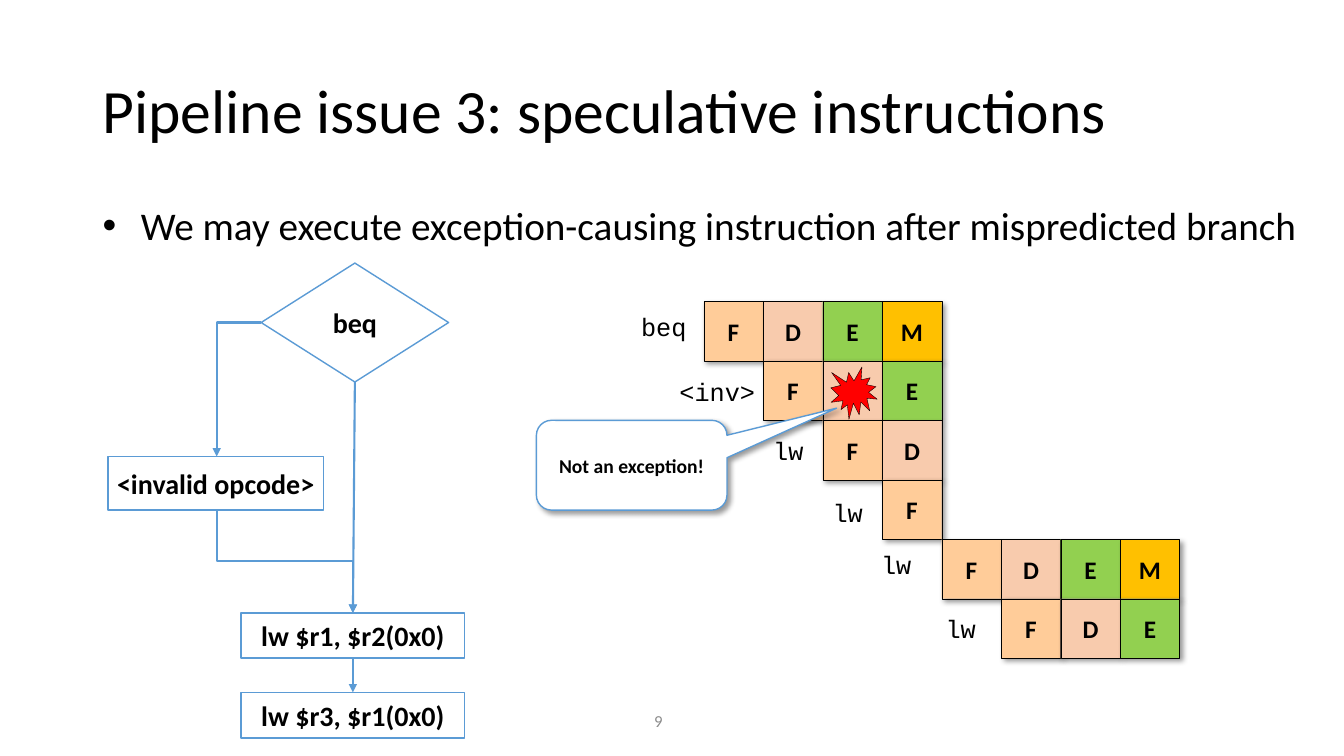
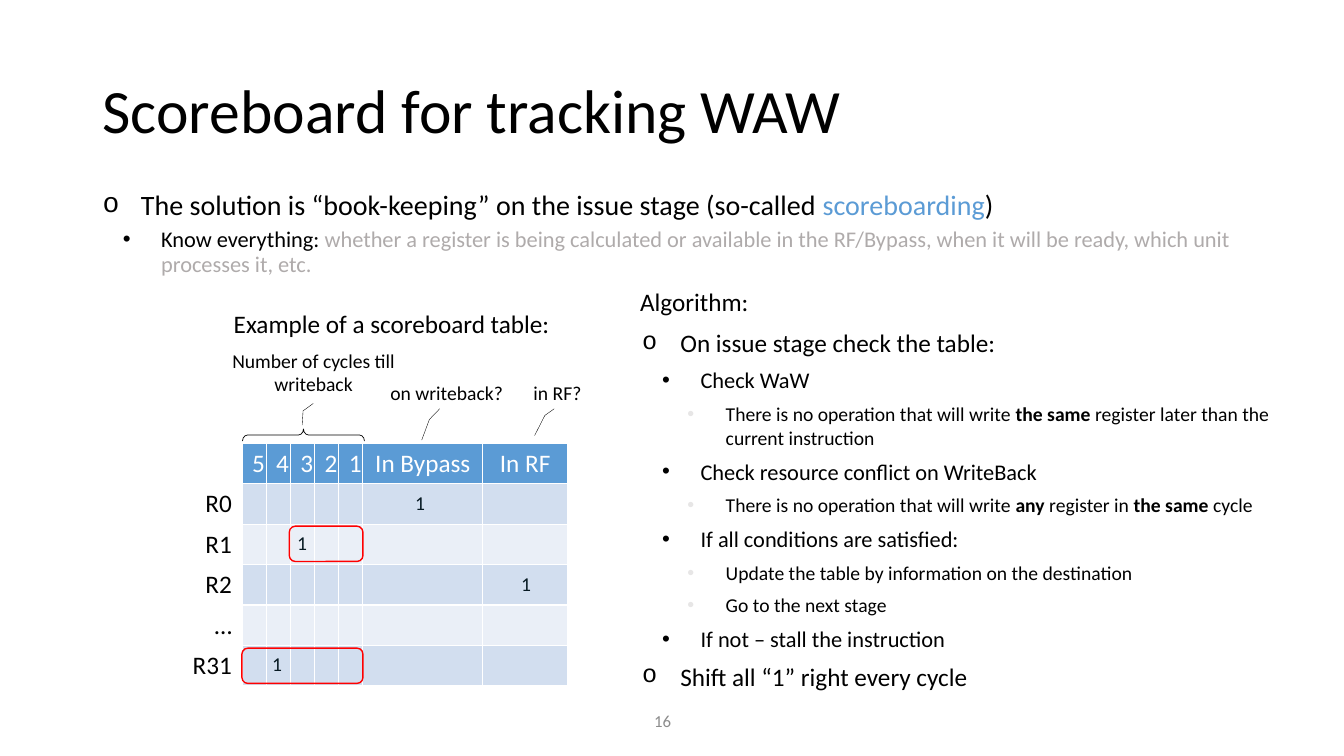
from dataclasses import dataclass
from typing import Optional

from lxml import etree
from pptx import Presentation
from pptx import util as u
from pptx.dml.color import RGBColor
from pptx.enum import shapes, text
from pptx.oxml.ns import qn

COLORS = {
    "black": "000000", "white": "FFFFFF", "blue": "5B9BD5", "red": "FF0000",
    "gray": "AFABAB", "pale": "E7E6E6", "number": "8C8C8C", "mark": "061922",
    "F": "FFCC99", "D": "F8CBAD", "E": "92D050", "M": "FFC000",
    "band_dark": "D2DEEF", "band_light": "EAEFF7",
}
BODY_FONT, CODE_FONT = "Calibri", "Courier New"
BULLET_FONTS = {"•": "Arial", "o": "Courier New"}
SHAPE, ALIGN, ANCHOR = shapes.MSO_SHAPE, text.PP_ALIGN, text.MSO_ANCHOR
LINK = shapes.MSO_CONNECTOR
Box = tuple[float, float, float, float]


@dataclass(frozen=True)
class Para:
    """Every second part of the text, split at *, is coloured or bold."""
    text: str
    size: float = 18
    color: str = "black"
    bold: bool = False
    accent: Optional[str] = None
    font: str = BODY_FONT
    align: ALIGN = ALIGN.LEFT
    spacing: Optional[float] = None
    before: float = 0
    bullet: str = ""
    bullet_color: str = "black"
    indent: float = 0


@dataclass(frozen=True)
class PipelineRow:
    label: str
    start: int
    stages: str
    label_left: float
    label_top: float


def rgb(name: str) -> RGBColor:
    return RGBColor.from_string(COLORS[name])


def inches(values) -> list:
    return [u.Inches(value) for value in values]


def write(frame, paras: list[Para]) -> None:
    for index, item in enumerate(paras):
        para = frame.paragraphs[0] if index == 0 else frame.add_paragraph()
        if item.bullet:
            props = para._p.get_or_add_pPr()
            props.set("marL", str(u.Inches(item.indent)))
            props.set("indent", str(u.Inches(-0.38)))
            tint = etree.SubElement(props, qn("a:buClr"))
            etree.SubElement(tint, qn("a:srgbClr"), val=COLORS[item.bullet_color])
            etree.SubElement(props, qn("a:buFont"), typeface=BULLET_FONTS[item.bullet])
            etree.SubElement(props, qn("a:buChar"), char=item.bullet)
        para.alignment = item.align
        if item.spacing:
            para.line_spacing = item.spacing
        if index and item.before:
            para.space_before = u.Pt(item.before)
        font = para.font
        font.name, font.size, font.bold = item.font, u.Pt(item.size), item.bold
        font.color.rgb = rgb(item.color)
        for order, piece in enumerate(item.text.split("*")):
            span = para.add_run()
            span.text = piece
            if order % 2 and item.accent:
                span.font.color.rgb = rgb(item.accent)
            elif order % 2:
                span.font.bold = True


def add_text(page, box: Box, paras: list[Para], anchor=ANCHOR.TOP,
             wrap: bool = True) -> None:
    frame = page.shapes.add_textbox(*inches(box)).text_frame
    frame.word_wrap, frame.vertical_anchor = wrap, anchor
    write(frame, paras)


def add_shape(page, kind, box: Box, fill: Optional[str] = None,
              line: str = "black", width: float = 0.25,
              para: Optional[Para] = None, wrap: bool = False,
              adjust: tuple[float, ...] = (), shadow: bool = False):
    shape = page.shapes.add_shape(kind, *inches(box))
    for index, value in enumerate(adjust):
        shape.adjustments[index] = value
    if fill:
        shape.fill.solid()
        shape.fill.fore_color.rgb = rgb(fill)
    else:
        shape.fill.background()
    shape.line.color.rgb = rgb(line)
    shape.line.width = u.Pt(width)
    shape.shadow.inherit = False
    if shadow:
        effects = shape._element.spPr.find(qn("a:effectLst"))
        outer = etree.SubElement(effects, qn("a:outerShdw"),
                                 blurRad=str(u.Pt(4)), dist=str(u.Pt(3)),
                                 dir="2700000", algn="tl", rotWithShape="0")
        tint = etree.SubElement(outer, qn("a:srgbClr"), val=COLORS["black"])
        etree.SubElement(tint, qn("a:alpha"), val="40000")
    if para:
        frame = shape.text_frame
        frame.word_wrap, frame.vertical_anchor = wrap, ANCHOR.MIDDLE
        write(frame, [para])
    return shape


def add_arrow(page, kind, start: tuple[float, float], end: tuple[float, float]):
    arrow = page.shapes.add_connector(kind, *inches(start + end))
    arrow.line.color.rgb = rgb("blue")
    arrow.line.width = u.Pt(1.5)
    props = arrow._element.spPr
    etree.SubElement(props.find(qn("a:ln")), qn("a:tailEnd"), type="triangle")
    etree.SubElement(props, qn("a:effectLst"))
    return arrow


def add_step_arrow(page, start, end) -> None:
    """Arrow that runs down, right and down: a sideways elbow turned by 270°."""
    middle_x, middle_y = (start[0] + end[0]) / 2, (start[1] + end[1]) / 2
    half_w, half_h = (end[1] - start[1]) / 2, (end[0] - start[0]) / 2
    arrow = add_arrow(page, LINK.ELBOW, (middle_x + half_w, middle_y - half_h),
                      (middle_x - half_w, middle_y + half_h))
    arrow._element.spPr.find(qn("a:xfrm")).set("rot", "16200000")


def add_page(deck, title: str, number: str):
    page = deck.slides.add_slide(deck.slide_layouts[6])
    add_text(page, (0.92, 0.4, 11.5, 1.45), [Para(title, size=44, spacing=0.9)],
             ANCHOR.MIDDLE)
    add_text(page, (6.39, 6.95, 0.79, 0.4), [Para(number, size=12, color="number")],
             ANCHOR.MIDDLE)
    return page


def build_speculation(deck) -> None:
    page = add_page(deck, "Pipeline issue 3: speculative instructions", "9")
    add_text(page, (0.92, 2, 12.1, 4.52), [Para(
        "We may execute exception-causing instruction after mispredicted branch",
        size=28, spacing=0.9, bullet="•", indent=0.38)])

    # Branch flowchart
    nodes = [
        ("beq", SHAPE.DIAMOND, (2.59, 2.61, 1.86, 1.18)),
        ("<invalid opcode>", SHAPE.RECTANGLE, (1.07, 4.53, 2.14, 0.53)),
        ("lw $r1, $r2(0x0)", SHAPE.RECTANGLE, (2.39, 6.08, 2.22, 0.45)),
        ("lw $r3, $r1(0x0)", SHAPE.RECTANGLE, (2.39, 6.87, 2.22, 0.45)),
    ]
    for label, kind, box in nodes:
        add_shape(page, kind, box, "white", "blue", 1,
                  Para(label, size=20, bold=True, align=ALIGN.CENTER))
    corner = add_arrow(page, LINK.ELBOW, (2.59, 3.2), (2.15, 4.53))
    corner._element.spPr.find(qn("a:prstGeom")).set("prst", "bentConnector2")
    add_arrow(page, LINK.STRAIGHT, (3.52, 3.79), (3.5, 6.08))
    add_step_arrow(page, (2.15, 5.05), (3.5, 6.08))
    add_arrow(page, LINK.STRAIGHT, (3.5, 6.53), (3.5, 6.87))

    # Pipeline diagram
    left, top, side = 6.98, 2.99, 0.59
    rows = [
        PipelineRow("beq", 0, "FDEM", 6.26, 3.04),
        PipelineRow("<inv>", 1, "FDE", 6.64, 3.68),
        PipelineRow("lw", 2, "FD", 7.57, 4.27),
        PipelineRow("lw", 3, "F", 8.16, 4.88),
        PipelineRow("lw", 4, "FDEM", 8.64, 5.4),
        PipelineRow("lw", 5, "FDE", 9.28, 6.04),
    ]
    for index, row in enumerate(rows):
        for cycle, stage in enumerate(row.stages, row.start):
            add_shape(page, SHAPE.RECTANGLE,
                      (left + cycle * side, top + index * side, side, side), stage,
                      para=Para(stage, bold=True, align=ALIGN.CENTER), shadow=True)
        add_text(page, (row.label_left, row.label_top, 1.07, 0.4),
                 [Para(row.label, font=CODE_FONT)])
    add_shape(page, SHAPE.EXPLOSION1, (8.24, 3.64, 0.46, 0.52), "red")
    add_shape(page, SHAPE.ROUNDED_RECTANGULAR_CALLOUT, (5.32, 4.17, 1.89, 0.89),
              "white", "blue", 1,
              Para("Not an exception!", size=14, bold=True, align=ALIGN.CENTER),
              wrap=True, adjust=(1.075, -0.636, 0.167), shadow=True)


def add_scoreboard(page) -> None:
    headers = ["", "5", "4", "3", "2", "1", "In Bypass", "In RF"]
    registers = ["", "R0", "R1", "R2", "…", "R31"]
    widths = [0.76] + [0.24] * 5 + [1.19, 0.84]
    table = page.shapes.add_table(len(registers), len(headers), *inches(
        (1.64, 4.4, sum(widths), 0.4 * len(registers)))).table
    table.first_row = table.horz_banding = False
    for column, width in zip(table.columns, widths):
        column.width = u.Inches(width)
    for index, row in enumerate(table.rows):
        band = "blue" if index == 0 else "band_dark" if index % 2 else "band_light"
        for column, cell in enumerate(row.cells):
            if column == 0:
                cell.fill.background()
                if index:
                    write(cell.text_frame, [Para(registers[index], align=ALIGN.RIGHT)])
                continue
            cell.fill.solid()
            cell.fill.fore_color.rgb = rgb(band)
            if index == 0:
                write(cell.text_frame, [Para(headers[column], color="white",
                                             align=ALIGN.CENTER)])


def build_scoreboard(deck) -> None:
    page = add_page(deck, "Scoreboard for tracking WAW", "16")
    add_text(page, (0.92, 1.85, 11.5, 4.66), [
        Para("The solution is “book-keeping” on the issue stage (so-called *scoreboarding*)",
             size=20, accent="blue", spacing=0.9, bullet="o", indent=0.38),
        Para("Know everything: *whether a register is being calculated or available in the "
             "RF/Bypass, when it will be ready, which unit processes it, etc.",
             size=16, accent="gray", spacing=0.9, before=5, bullet="•", indent=0.58),
    ])

    # Scoreboard table with its marks
    add_scoreboard(page)
    for box in [(2.87, 5.22, 0.73, 0.35), (2.4, 6.43, 1.2, 0.35)]:
        add_shape(page, SHAPE.ROUNDED_RECTANGLE, box, line="red", width=1)
    for left, top in [(5.07, 5.67), (4.02, 4.87), (2.85, 5.26), (2.6, 6.46)]:
        add_text(page, (left, top, 0.3, 0.29),
                 [Para("1", size=14, color="mark", spacing=0.8)], wrap=False)

    # Column explanations
    brace = add_shape(page, SHAPE.RIGHT_BRACE, (2.95, 3.71, 0.12, 1.21), "white",
                      width=0.5, adjust=(0.417, 0.5))
    brace.rotation = 270
    callouts = [
        ("Number of cycles till writeback", (2.2, 3.35, 1.82, 0.68),
         (0.959, 0.499, 1.068, 0.443, 1.276, 0.438)),
        ("on writeback?", (3.52, 3.69, 1.82, 0.41),
         (0.892, 0.462, 1.149, 0.406, 1.652, 0.364)),
        ("in RF?", (5.1, 3.69, 0.86, 0.41),
         (0.892, 0.462, 1.052, 0.354, 1.539, 0.236)),
    ]
    for label, box, bends in callouts:
        add_shape(page, SHAPE.LINE_CALLOUT_2_NO_BORDER, box, wrap=True, adjust=bends,
                  para=Para(label, size=14, align=ALIGN.CENTER))
    add_text(page, (2.22, 3.01, 3.6, 0.4), [Para("Example of a scoreboard table:")])

    # Algorithm: size, bullet, bullet colour and indent of each level
    levels = [(18, "o", "black", 0.38), (16, "•", "black", 0.58), (14, "•", "pale", 0.83)]
    steps = [
        (0, "On issue stage check the table:"),
        (1, "Check WaW"),
        (2, "There is no operation that will write *the same *register later than the "
            "current instruction"),
        (1, "Check resource conflict on WriteBack"),
        (2, "There is no operation that will write *any* register in *the same *cycle"),
        (1, "If all conditions are satisfied:"),
        (2, "Update the table by information on the destination"),
        (2, "Go to the next stage"),
        (1, "If not – stall the instruction"),
        (0, "Shift all “1” right every cycle"),
    ]
    paras = []
    for level, step in steps:
        size, bullet, tint, indent = levels[level]
        paras.append(Para(step, size=size, before=6.2, bullet=bullet,
                          bullet_color=tint, indent=indent))
    add_text(page, (6.25, 2.79, 1.8, 0.4), [Para("Algorithm:")])
    add_text(page, (6.27, 3.2, 6.56, 4.2), paras)


def main() -> None:
    deck = Presentation()
    deck.slide_width, deck.slide_height = inches((13.33, 7.5))
    build_speculation(deck)
    build_scoreboard(deck)
    deck.save("out.pptx")


if __name__ == "__main__":
    main()
